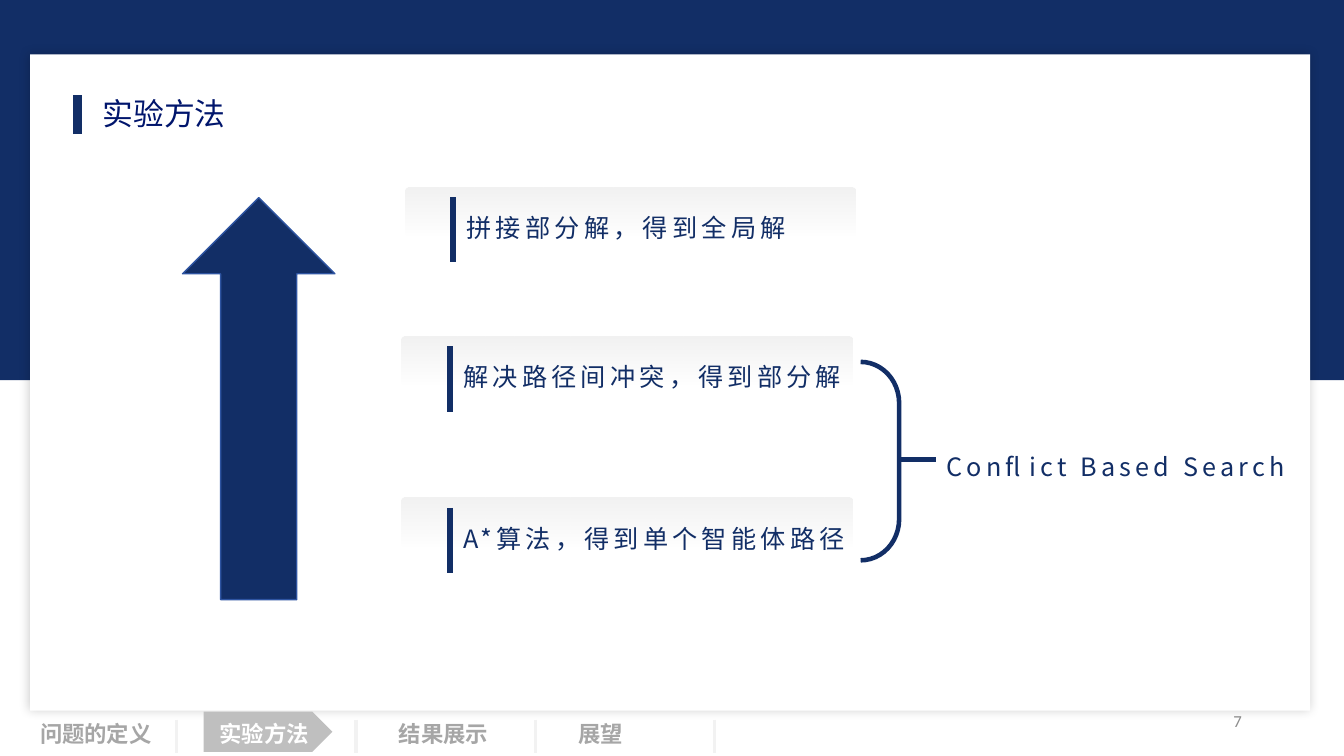
"""Build the slide on experimental method: three stacked steps and a navigation strip."""
from lxml import etree
from pptx import Presentation
from pptx.dml.color import RGBColor
from pptx.enum.shapes import MSO_CONNECTOR, MSO_SHAPE
from pptx.enum.text import MSO_ANCHOR, PP_ALIGN
from pptx.oxml import parse_xml
from pptx.oxml.ns import qn
from pptx.util import Cm, Pt

STRAIGHT = MSO_CONNECTOR.STRAIGHT
RECTANGLE = MSO_SHAPE.RECTANGLE
ROUNDED = MSO_SHAPE.ROUNDED_RECTANGLE
UP_ARROW = MSO_SHAPE.UP_ARROW
BRACKET = MSO_SHAPE.RIGHT_BRACKET
PENTAGON = MSO_SHAPE.PENTAGON
MIDDLE = MSO_ANCHOR.MIDDLE
RIGHT = PP_ALIGN.RIGHT

NAVY = "122E66"
PALE = "F2F2F2"
GREY = "A6A6A6"
CJK = "Noto Sans CJK SC"
DRAWING = "http://schemas.openxmlformats.org/drawingml/2006/main"

rgb = RGBColor.from_string

deck = Presentation()
deck.slide_width, deck.slide_height = Cm(33.87), Cm(19.05)
page = deck.slides.add_slide(deck.slide_layouts[6])


def add_text(text, left, top, width, height, size, font, color, wrap=True):
    """Add a one-paragraph text box and return its paragraph."""
    box = page.shapes.add_textbox(Cm(left), Cm(top), Cm(width), Cm(height))
    box.text_frame.word_wrap = wrap
    para = box.text_frame.paragraphs[0]
    para.text = text
    para.font.size = Pt(size)
    para.font.name = font
    para.font.color.rgb = rgb(color)
    return para


def add_line(x1, y1, x2, y2, color, width):
    """Add a straight line without a shadow."""
    line = page.shapes.add_connector(STRAIGHT, Cm(x1), Cm(y1), Cm(x2), Cm(y2))
    line.line.color.rgb = rgb(color)
    line.line.width = Pt(width)
    etree.SubElement(line._element.spPr, qn("a:effectLst"))


number = add_text("7", 23.93, 17.65, 7.62, 1.02, 12, "Calibri", "8C8C8C")
number.alignment = RIGHT
page.shapes[-1].text_frame.vertical_anchor = MIDDLE

solids = [
    (RECTANGLE, 0, 0, 33.87, 9.58, NAVY),
    (RECTANGLE, 0.76, 1.37, 32.26, 16.54, "FFFFFF"),
    (UP_ARROW, 4.6, 4.98, 3.84, 10.13, NAVY),
    (PENTAGON, 5.13, 17.93, 3.25, 1.02, "BFBFBF"),
]
for kind, left, top, width, height, color in solids:
    solid = page.shapes.add_shape(kind, Cm(left), Cm(top), Cm(width), Cm(height))
    solid.shadow.inherit = False
    solid.fill.solid()
    solid.fill.fore_color.rgb = rgb(color)
    solid.line.fill.background()
    if kind == UP_ARROW:
        solid.line.color.rgb = rgb("2E54A1")
        solid.line.width = Pt(1)
    if color == "FFFFFF":
        solid._element.spPr.find(qn("a:effectLst")).append(parse_xml(
            f'<a:outerShdw xmlns:a="{DRAWING}" blurRad="{Pt(8)}" dist="0" dir="0">'
            '<a:srgbClr val="000000"><a:alpha val="20000"/></a:srgbClr></a:outerShdw>'))

add_line(1.96, 3.38, 1.96, 2.39, NAVY, 6.25)
add_text("实验方法", 2.34, 2.26, 10.26, 1.19, 22, "Arial", "00156C")

steps = [
    ("拼接部分解，得到全局解", 10.21, 4.72, 9.7),
    ("解决路径间冲突，得到部分解", 10.13, 8.48, 10.16),
    ("A*算法，得到单个智能体路径", 10.13, 12.55, 10.44),
]
spaced = []
for text, left, top, width in steps:
    panel = page.shapes.add_shape(ROUNDED, Cm(left), Cm(top), Cm(11.35), Cm(1.22))
    panel.adjustments[0] = 0.06
    panel.shadow.inherit = False
    panel.line.fill.background()
    panel.fill.gradient()
    panel.fill.gradient_angle = 270
    for stop in panel.fill.gradient_stops:
        stop.color.rgb = rgb(PALE)
    last_color = list(panel._element.spPr.iter(qn("a:srgbClr")))[-1]
    etree.SubElement(last_color, qn("a:alpha"), val="0")
    spaced.append(add_text(text, left + 1.3, top + 0.13, width, 1.4, 18, CJK, NAVY))
    add_line(left + 1.21, top + 0.25, left + 1.21, top + 1.89, NAVY, 4)

bracket = page.shapes.add_shape(BRACKET, Cm(21.69), Cm(9.12), Cm(0.97), Cm(5))
bracket.adjustments[0] = 1.07
bracket.shadow.inherit = False
bracket.fill.background()
bracket.line.color.rgb = rgb(NAVY)
bracket.line.width = Pt(3.25)
add_line(22.66, 11.58, 23.6, 11.58, NAVY, 3.25)
spaced.append(add_text("Conflict Based Search", 23.6, 10.87, 9.78, 1.4, 18, CJK, NAVY))

for para in spaced:
    para.line_spacing = 1.5
    para.font._element.set("spc", "300")
    etree.SubElement(para.font._element, qn("a:ea"), typeface=CJK)

sections = [("问题的定义", 3.33, GREY), ("实验方法", 2.77, "FFFFFF"),
            ("结果展示", 2.77, GREY), ("展望", 1.63, GREY)]
for index, (text, width, color) in enumerate(sections):
    shift = 4.52 * index
    label = add_text(text, 0.76 + shift, 18.03, width, 0.94, 16, "Arial", color, wrap=False)
    label.font.bold = True
    add_line(4.45 + shift, 18.14, 4.45 + shift, 18.97, PALE, 2.5)

deck.save("out.pptx")
